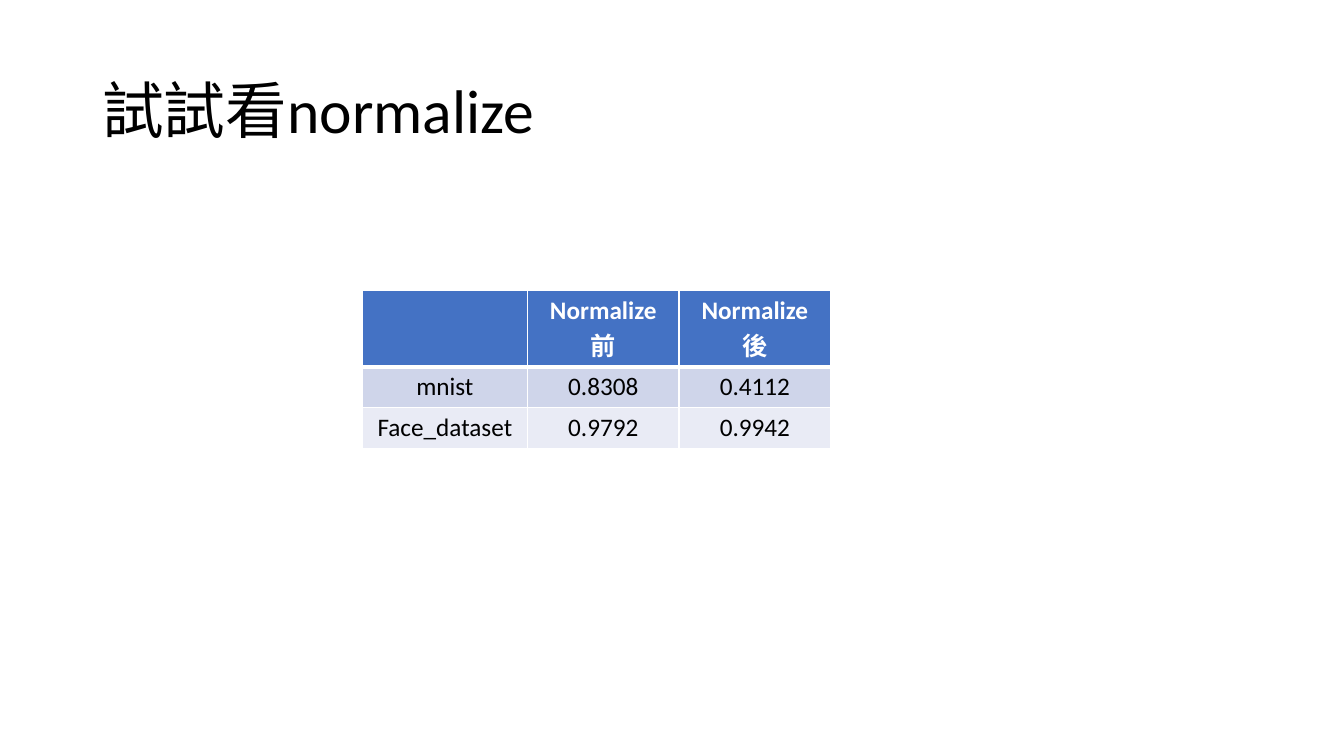
import pptx
import pptx.dml.color
import pptx.enum.text
import pptx.util
from lxml import etree
from pptx.oxml.ns import qn

Pt = pptx.util.Pt
Align = pptx.enum.text.PP_ALIGN
Anchor = pptx.enum.text.MSO_ANCHOR

COLORS = {
    "ink": "000000",
    "white": "FFFFFF",
    "head": "4472C4",
    "odd": "CFD5EA",
    "even": "E9EBF5",
}
ROWS = [
    ["", "Normalize 前", "Normalize 後"],
    ["mnist", "0.8308", "0.4112"],
    ["Face_dataset", "0.9792", "0.9942"],
]


def rgb(name):
    return pptx.dml.color.RGBColor.from_string(COLORS[name])


def write(frame, text, size=18, color="ink", bold=False, align=Align.LEFT,
          space=1.0, font="Calibri"):
    para = frame.paragraphs[0]
    para.alignment = align
    para.line_spacing = space
    run = para.add_run()
    run.text = text
    run.font.name = font
    run.font.size = Pt(size)
    run.font.bold = bold
    run.font.color.rgb = rgb(color)


def edge(cell, side, width, color="white"):
    """Draw one cell border; side is L, R, T or B, called in that order."""
    props = cell._tc.get_or_add_tcPr()
    line = etree.SubElement(props, qn(f"a:ln{side}"), w=str(Pt(width)))
    fill = etree.SubElement(line, qn("a:solidFill"))
    etree.SubElement(fill, qn("a:srgbClr"), val=COLORS[color])


class Deck:
    def __init__(self, width, height):
        self.show = pptx.Presentation()
        self.show.slide_width = Pt(width)
        self.show.slide_height = Pt(height)
        self.slide = self.show.slides.add_slide(self.show.slide_layouts[6])

    def title(self, text, left, top, width, height):
        box = self.slide.shapes.add_textbox(
            Pt(left), Pt(top), Pt(width), Pt(height))
        frame = box.text_frame
        frame.word_wrap = True
        frame.vertical_anchor = Anchor.MIDDLE
        write(frame, text, size=44, space=0.9)

    def table(self, rows, left, top, widths, heights):
        grid = self.slide.shapes.add_table(
            len(rows), len(widths), Pt(left), Pt(top),
            Pt(sum(widths)), Pt(sum(heights))).table
        for col, width in zip(grid.columns, widths):
            col.width = Pt(width)
        for row, height in zip(grid.rows, heights):
            row.height = Pt(height)
        for r, texts in enumerate(rows):
            for c, text in enumerate(texts):
                self.cell(grid.cell(r, c), text, r)

    def cell(self, cell, text, row):
        head = row == 0
        widths = {"L": 1, "R": 1, "T": 3 if row == 1 else 1,
                  "B": 3 if head else 1}
        for side, width in widths.items():
            edge(cell, side, width)
        cell.fill.solid()
        cell.fill.fore_color.rgb = rgb(
            "head" if head else "odd" if row % 2 else "even")
        cell.vertical_anchor = Anchor.MIDDLE
        if text:
            write(cell.text_frame, text, color="white" if head else "ink",
                  bold=head, align=Align.CENTER)


def main():
    deck = Deck(960, 540)
    deck.title("試試看normalize", 66, 28.75, 828, 104.4)
    deck.table(ROWS, 258.8, 207.6, [118, 108.3, 108.3], [54.4, 29.2, 29.2])
    deck.show.save("out.pptx")


if __name__ == "__main__":
    main()
